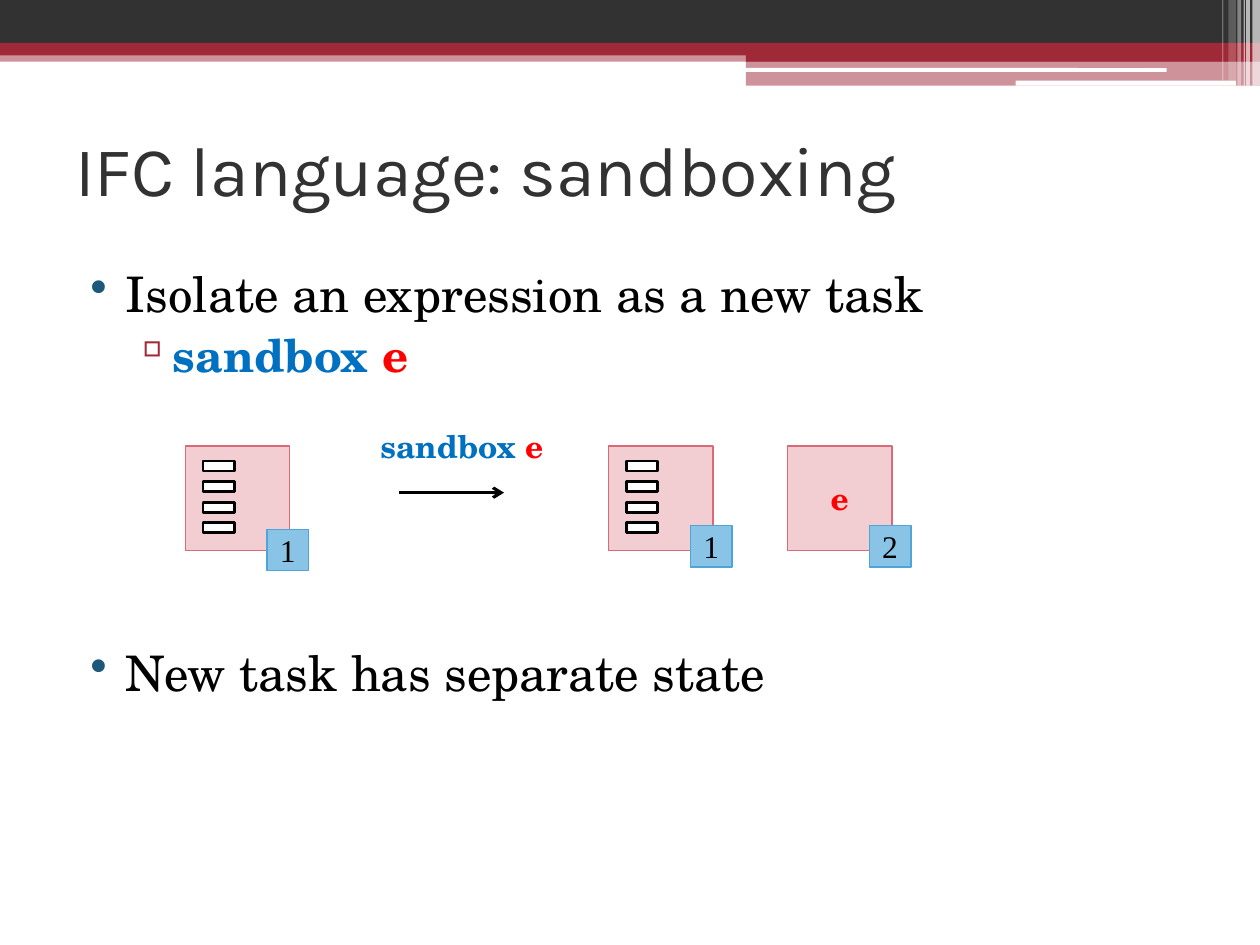
from dataclasses import dataclass

from lxml import etree
from pptx import Presentation
from pptx.dml.color import RGBColor
from pptx.enum.shapes import MSO_CONNECTOR, MSO_SHAPE
from pptx.enum.text import MSO_ANCHOR, PP_ALIGN
from pptx.oxml.ns import qn
from pptx.util import Inches, Pt

RECT, ROUND = MSO_SHAPE.RECTANGLE, MSO_SHAPE.ROUNDED_RECTANGLE
LINE = MSO_CONNECTOR.STRAIGHT
MID, TOP = MSO_ANCHOR.MIDDLE, MSO_ANCHOR.TOP
LEFT, CENTER = PP_ALIGN.LEFT, PP_ALIGN.CENTER

HUES = {
    "dark": "323232", "red": "9F2936", "white": "FFFFFF", "black": "000000",
    "navy": "1B587C", "code": "0070C0", "expr": "FF0000", "pink": "F2CED2",
    "rose": "D96B77", "sky": "89C3E5", "blue": "4EA5D8",
}
FONTS = {
    "title": {"name": "Karla", "size": Pt(40)},
    "main": {"name": "TeX Gyre Schola", "size": Pt(28), "bold": False},
    "sub": {"name": "TeX Gyre Schola", "size": Pt(26), "bold": True},
    "code": {"name": "TeX Gyre Schola", "size": Pt(18), "bold": True},
    "tag": {"name": "Times New Roman", "size": Pt(18)},
}


@dataclass
class Bar:
    x: float
    y: float
    w: float
    h: float
    hue: str
    alpha: int = 100
    kind: int = RECT


@dataclass
class Run:
    text: str
    hue: str


@dataclass
class Item:
    runs: list[Run]
    font: str
    mark: str
    tint: str
    left: float
    hang: float
    gap: float


@dataclass
class Task:
    x: float
    tag: str
    drop: float
    expr: str = ""


BARS = [
    Bar(0, 0.4, 10, 0.09, "red", 50),
    Bar(0, 0, 10, 0.34, "dark"),
    Bar(0, 0.34, 10, 0.1, "red"),
    Bar(5.92, 0.39, 4.08, 0.1, "red"),
    Bar(5.92, 0.48, 4.08, 0.2, "red", 50),
    Bar(5.91, 0.54, 3.35, 0.03, "white", kind=ROUND),
    Bar(8.06, 0.64, 1.75, 0.04, "white", kind=ROUND),
    Bar(9.94, 0, 0.06, 0.68, "white", 65),
    Bar(9.89, 0, 0.03, 0.68, "white", 65),
    Bar(9.87, 0, 0.01, 0.68, "white", 60),
    Bar(9.82, 0, 0.03, 0.68, "white", 40),
    Bar(9.75, 0, 0.06, 0.64, "white", 20),
    Bar(9.7, 0, 0.01, 0.64, "white", 30),
]
CODE = [Run("sandbox ", "code"), Run("e", "expr")]
ITEMS = [
    Item([Run("Isolate an expression as a new task", "black")],
         "main", "•", "navy", 0.4, 0.28, 0),
    Item(CODE, "sub", "▫", "red", 0.72, 0.27, 3),
    Item([Run("New task has separate state", "black")],
         "main", "•", "navy", 0.4, 0.28, 149),
]
TASKS = [Task(1.47, "1", 0.66), Task(4.83, "1", 0.63), Task(6.25, "2", 0.63, "e")]
ROW = 3.54


def color(hue: str) -> RGBColor:
    return RGBColor.from_string(HUES[hue])


def style(thing, values: dict) -> None:
    for key, value in values.items():
        setattr(thing, key, value)


def write(para, runs: list[Run], font: str) -> None:
    for part in runs:
        run = para.add_run()
        run.text = part.text
        style(run.font, FONTS[font])
        run.font.color.rgb = color(part.hue)


def block(slide, bar: Bar, edge: str = "", width: float = 0.75):
    shape = slide.shapes.add_shape(
        bar.kind, Inches(bar.x), Inches(bar.y), Inches(bar.w), Inches(bar.h))
    shape.shadow.inherit = False
    shape.fill.solid()
    shape.fill.fore_color.rgb = color(bar.hue)
    if bar.alpha < 100:
        node = shape.fill._xPr.find(".//" + qn("a:srgbClr"))
        etree.SubElement(node, qn("a:alpha"), val=str(bar.alpha * 1000))
    if edge:
        shape.line.color.rgb = color(edge)
        shape.line.width = Pt(width)
    else:
        shape.line.fill.background()
    return shape


def label(shape, run: Run, font: str) -> None:
    frame = shape.text_frame
    style(frame, {"margin_left": 0, "margin_right": 0, "margin_top": 0,
                  "margin_bottom": 0, "vertical_anchor": MID})
    para = frame.paragraphs[0]
    para.alignment = CENTER
    write(para, [run], font)


def text(slide, x: float, y: float, w: float, h: float, anchor=TOP):
    box = slide.shapes.add_textbox(Inches(x), Inches(y), Inches(w), Inches(h))
    style(box.text_frame, {"word_wrap": True, "vertical_anchor": anchor})
    box.text_frame.paragraphs[0].alignment = LEFT
    return box.text_frame


def bullet(para, item: Item) -> None:
    props = para._p.get_or_add_pPr()
    props.set("marL", str(Inches(item.left)))
    props.set("indent", str(-Inches(item.hang)))
    tint = etree.SubElement(props, qn("a:buClr"))
    etree.SubElement(tint, qn("a:srgbClr"), val=HUES[item.tint])
    etree.SubElement(props, qn("a:buChar"), char=item.mark)
    para.space_before = Pt(item.gap)


def body(slide) -> None:
    frame = text(slide, 0.5, 2, 9.33, 5.19)
    frame.margin_top = Inches(0.09)
    for i, item in enumerate(ITEMS):
        para = frame.add_paragraph() if i else frame.paragraphs[0]
        bullet(para, item)
        para.level = 1 if item.font == "sub" else 0
        write(para, item.runs, item.font)


def draw(slide, task: Task) -> None:
    card = block(slide, Bar(task.x, ROW, 0.83, 0.83, "pink"), "rose")
    if task.expr:
        label(card, Run(task.expr, "expr"), "code")
    else:
        for i in range(4):
            y = ROW + 0.12 + i * 0.163
            block(slide, Bar(task.x + 0.14, y, 0.25, 0.08, "white"), "black", 1.5)
    tag = Bar(task.x + 0.65, ROW + task.drop, 0.33, 0.33, "sky")
    label(block(slide, tag, "blue"), Run(task.tag, "black"), "tag")


def arrow(slide, x: float, y: float, end: float) -> None:
    link = slide.shapes.add_connector(
        LINE, Inches(x), Inches(y), Inches(end), Inches(y))
    link.line.color.rgb = color("black")
    link.line.width = Pt(1.75)
    etree.SubElement(link.line._get_or_add_ln(), qn("a:tailEnd"), type="arrow")
    etree.SubElement(link._element.spPr, qn("a:effectLst"))


def main() -> None:
    deck = Presentation()
    style(deck, {"slide_width": Inches(10), "slide_height": Inches(7.5)})
    slide = deck.slides.add_slide(deck.slide_layouts[6])
    for bar in BARS:
        block(slide, bar)
    title = text(slide, 0.5, 0.75, 9, 1.17, MID)
    write(title.paragraphs[0], [Run("IFC language: sandboxing", "dark")], "title")
    body(slide)
    for task in TASKS:
        draw(slide, task)
    arrow(slide, 3.17, 3.91, 4)
    write(text(slide, 2.92, 3.34, 1.67, 0.4).paragraphs[0], CODE, "code")
    deck.save("out.pptx")


if __name__ == "__main__":
    main()
